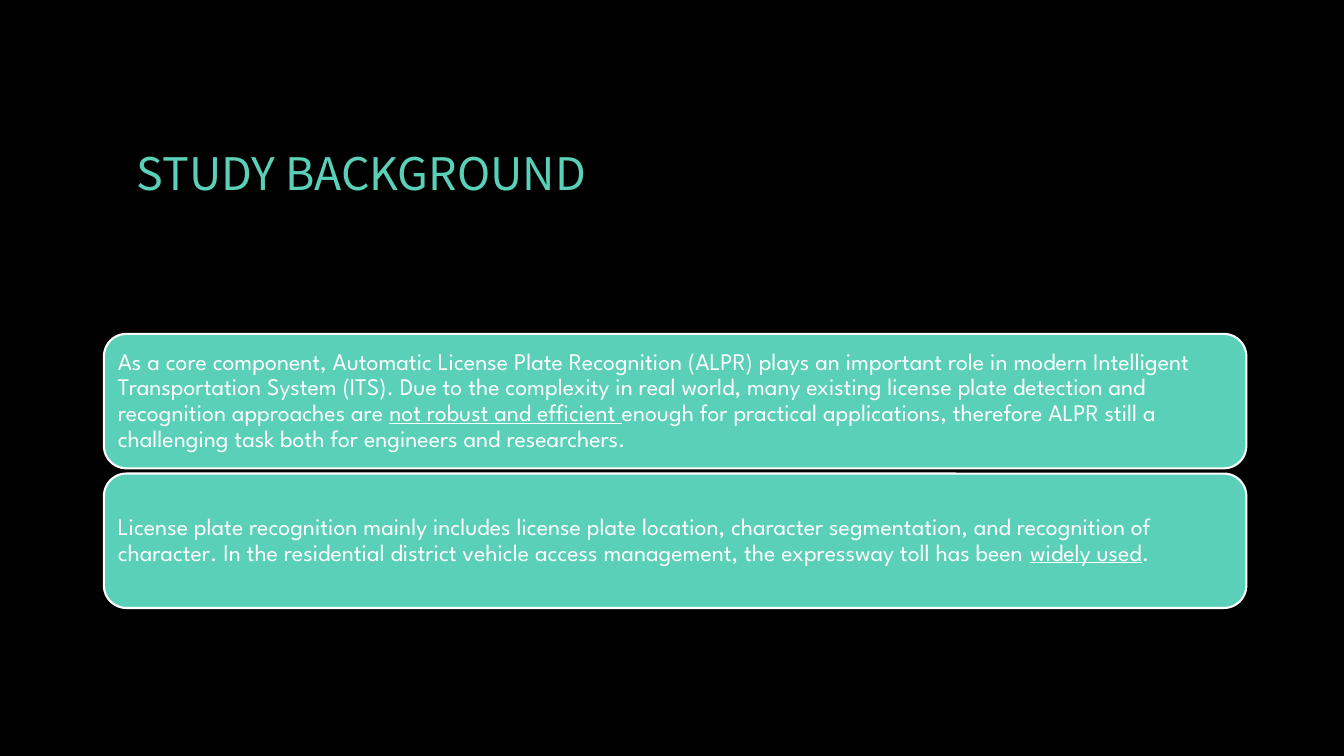
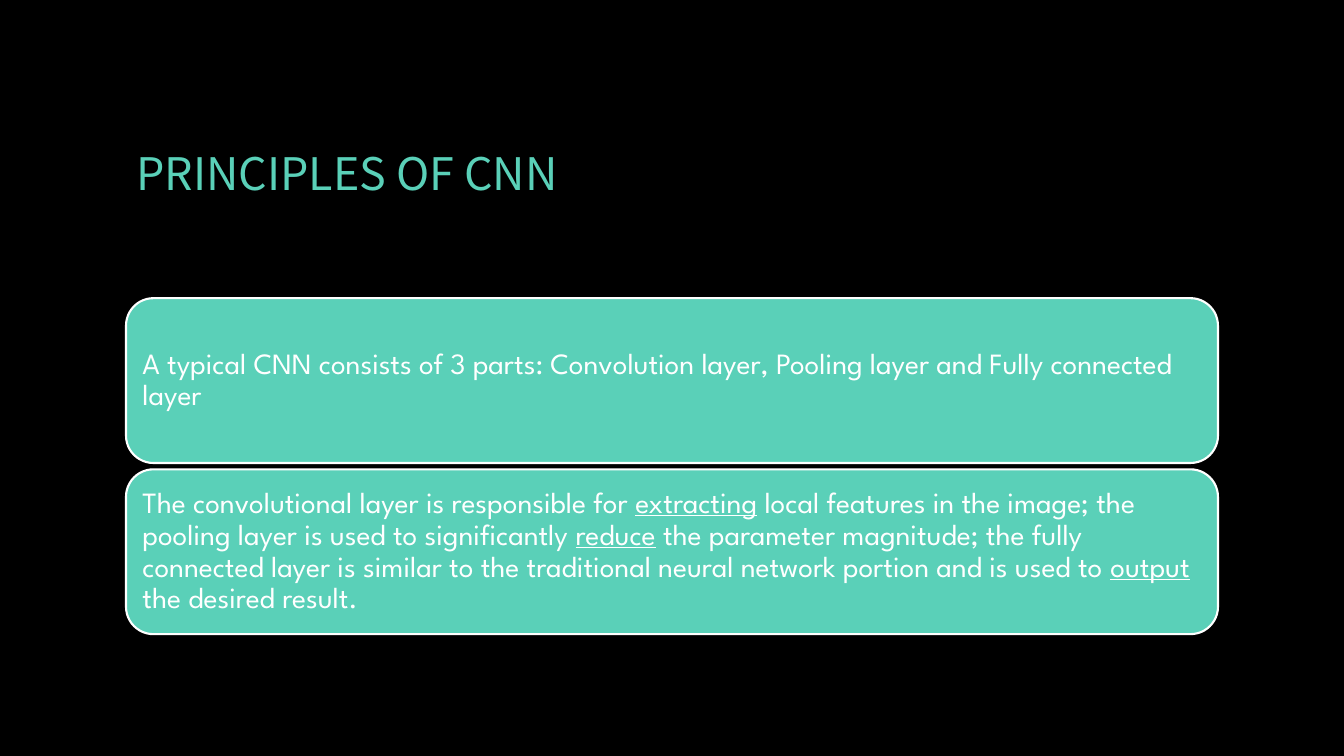
from dataclasses import dataclass

from pptx import Presentation
from pptx.dml.color import RGBColor
from pptx.enum import shapes, text
from pptx.util import Emu, Pt

EMU_PER_PX = 9525


@dataclass(frozen=True)
class Theme:
    """Colours, fonts and sizes that the slides share."""

    background: RGBColor = RGBColor(0x00, 0x00, 0x00)
    accent: RGBColor = RGBColor(0x5A, 0xD0, 0xB8)
    light: RGBColor = RGBColor(0xFF, 0xFF, 0xFF)
    title_font: str = "Noto Sans CJK SC"
    body_font: str = "League Spartan"
    title_size: int = 32
    outline: float = 1.5


@dataclass(frozen=True)
class Box:
    """A rectangle in px."""

    left: int
    top: int
    width: int
    height: int


@dataclass(frozen=True)
class CardSlide:
    """A title over a stack of cards; underscores enclose underlined words."""

    title: str
    first_card: Box
    gap: int
    inset: int
    size: int
    cards: tuple[str, ...]


THEME = Theme()
TITLE_BOX = Box(120, 64, 1040, 200)
SLIDES = (
    CardSlide(
        "STUDY BACKGROUND", Box(99, 318, 1088, 128), 5, 7, 17,
        (
            "As a core component, Automatic License Plate Recognition (ALPR) plays an "
            "important role in modern Intelligent Transportation System (ITS). Due to the "
            "complexity in real world, many existing license plate detection and recognition "
            "approaches are _not robust and efficient _enough for practical applications, "
            "therefore ALPR still a challenging task both for engineers and researchers.",
            "License plate recognition mainly includes license plate location, character "
            "segmentation, and recognition of character. In the residential district vehicle "
            "access management, the expressway toll has been _widely used_.",
        ),
    ),
    CardSlide(
        "PRINCIPLES OF CNN", Box(120, 284, 1040, 157), 6, 8, 21,
        (
            "A typical CNN consists of 3 parts: Convolution layer, Pooling layer and Fully "
            "connected layer",
            "The convolutional layer is responsible for _extracting_ local features in the "
            "image; the pooling layer is used to significantly _reduce_ the parameter "
            "magnitude; the fully connected layer is similar to the traditional neural "
            "network portion and is used to _output_ the desired result.",
        ),
    ),
)


def px(length: int) -> Emu:
    """Turn px into EMU."""
    return Emu(length * EMU_PER_PX)


def place(box: Box) -> tuple[Emu, ...]:
    """Give left, top, width and height in EMU."""
    return px(box.left), px(box.top), px(box.width), px(box.height)


def write(shape, content: str, *, font: str, size: int, color: RGBColor,
          inset: tuple[int, int], line_spacing: float = 1.0) -> None:
    """Fill a shape with one left-aligned, vertically centred paragraph."""
    frame = shape.text_frame
    frame.word_wrap = True
    frame.vertical_anchor = text.MSO_ANCHOR.MIDDLE
    frame.margin_left = frame.margin_right = px(inset[0])
    frame.margin_top = frame.margin_bottom = px(inset[1])
    paragraph = frame.paragraphs[0]
    paragraph.alignment = text.PP_ALIGN.LEFT
    paragraph.line_spacing = line_spacing
    for index, part in enumerate(content.split("_")):
        run = paragraph.add_run()
        run.text = part
        run.font.name = font
        run.font.size = Pt(size)
        run.font.color.rgb = color
        run.font.underline = index % 2 == 1


def add_card(slide, box: Box, content: str, *, size: int, inset: int) -> None:
    """Draw one rounded card with its text."""
    card = slide.shapes.add_shape(shapes.MSO_SHAPE.ROUNDED_RECTANGLE, *place(box))
    card.shadow.inherit = False
    card.fill.solid()
    card.fill.fore_color.rgb = THEME.accent
    card.line.color.rgb = THEME.light
    card.line.width = Pt(THEME.outline)
    write(card, content, font=THEME.body_font, size=size, color=THEME.light,
          inset=(inset, inset), line_spacing=0.9)


def add_card_slide(presentation, content: CardSlide) -> None:
    """Add a slide with its title and evenly stacked cards."""
    slide = presentation.slides.add_slide(presentation.slide_layouts[6])
    slide.background.fill.solid()
    slide.background.fill.fore_color.rgb = THEME.background
    title = slide.shapes.add_textbox(*place(TITLE_BOX))
    write(title, content.title, font=THEME.title_font, size=THEME.title_size,
          color=THEME.accent, inset=(10, 5))
    first = content.first_card
    for index, card in enumerate(content.cards):
        top = first.top + index * (first.height + content.gap)
        add_card(slide, Box(first.left, top, first.width, first.height), card,
                 size=content.size, inset=content.inset)


def main() -> None:
    """Build and save the presentation."""
    presentation = Presentation()
    presentation.slide_width = px(1280)
    presentation.slide_height = px(720)
    for content in SLIDES:
        add_card_slide(presentation, content)
    presentation.save("out.pptx")


if __name__ == "__main__":
    main()
